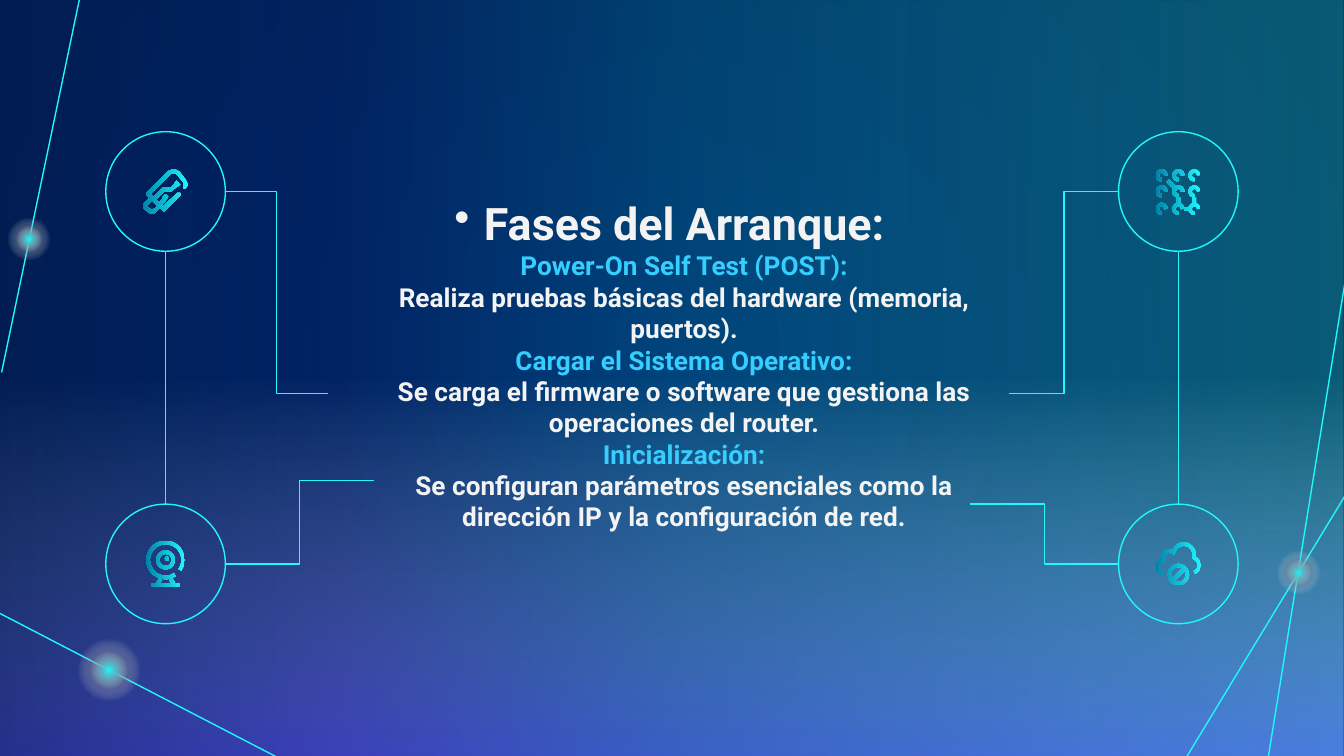
from copy import deepcopy
from dataclasses import dataclass
from itertools import product
from math import atan2, cos, radians, sin

from pptx import Presentation
from pptx.dml.color import RGBColor
from pptx.enum.shapes import MSO_CONNECTOR, MSO_SHAPE
from pptx.enum.text import MSO_ANCHOR, MSO_AUTO_SIZE, PP_ALIGN
from pptx.oxml import parse_xml
from pptx.oxml.ns import nsdecls, qn
from pptx.util import Cm, Pt


@dataclass(frozen=True)
class Theme:
    font: str = "Roboto"
    light: str = "F3F3F3"
    accent: str = "35CEFE"
    cyan: str = "20F8FD"
    teal: str = "0182AA"
    blue: str = "022E88"
    navy: str = "012060"
    night: str = "00183A"
    sky: str = "748BFF"
    violet: str = "7659FF"
    heading: int = 24
    body: int = 14
    line: float = 0.75


T = Theme()
WIDTH, HEIGHT = 25.4, 14.29
DIAMETER = 2.26
LEFT, TOP, BOTTOM = 2, 2.49, 9.53
RIGHT = WIDTH - LEFT - DIAMETER
ICON_UNIT = 0.0254

LINES = [
    "Fases del Arranque:",
    "Power-On Self Test (POST):",
    "Realiza pruebas básicas del hardware (memoria, puertos).",
    "Cargar el Sistema Operativo:",
    "Se carga el firmware o software que gestiona las operaciones del router.",
    "Inicialización:",
    "Se configuran parámetros esenciales como la dirección IP y la configuración de red.",
]


def set_gradient(fill, owner, stops, angle=None):
    """Stops are (position %, colour, opacity %); no angle means radial."""
    fill.gradient()
    old = owner.find(".//" + qn("a:gradFill"))
    gs = "".join(
        f'<a:gs pos="{pos * 1000}"><a:srgbClr val="{color}">'
        f'<a:alpha val="{alpha * 1000}"/></a:srgbClr></a:gs>'
        for pos, color, alpha in stops)
    if angle is None:
        shade = ('<a:path path="circle"><a:fillToRect l="50000" t="50000" '
                 'r="50000" b="50000"/></a:path>')
    else:
        shade = f'<a:lin ang="{angle * 60000}" scaled="0"/>'
    new = parse_xml(f'<a:gradFill {nsdecls("a")} rotWithShape="1">'
                    f'<a:gsLst>{gs}</a:gsLst>{shade}</a:gradFill>')
    old.getparent().replace(old, new)


def add_gradient_shape(slide, kind, x, y, w, h, stops, angle=None):
    sp = slide.shapes.add_shape(kind, Cm(x), Cm(y), Cm(w), Cm(h))
    sp.shadow.inherit = False
    sp.line.fill.background()
    set_gradient(sp.fill, sp._element, stops, angle)


def style_line(line):
    line.color.rgb = RGBColor.from_string(T.cyan)
    line.width = Pt(T.line)


def add_line(slide, start, end, kind=MSO_CONNECTOR.STRAIGHT):
    cxn = slide.shapes.add_connector(kind, *map(Cm, start + end))
    style_line(cxn.line)
    cxn._element.spPr.append(parse_xml(f'<a:effectLst {nsdecls("a")}/>'))


def add_glow(slide, cx, cy, radius):
    for color, r in ((T.night, radius), (T.cyan, radius * 0.59)):
        add_gradient_shape(slide, MSO_SHAPE.OVAL, cx - r, cy - r, 2 * r, 2 * r,
                           [(0, color, 100), (50, T.light, 0), (100, T.light, 0)])


def add_circle(slide, x, y):
    sp = slide.shapes.add_shape(MSO_SHAPE.OVAL, Cm(x), Cm(y), Cm(DIAMETER), Cm(DIAMETER))
    sp.shadow.inherit = False
    sp.fill.background()
    style_line(sp.line)


def arc(cx, cy, r, start=0, end=360, steps=20):
    angles = [radians(start + (end - start) * i / steps) for i in range(steps + 1)]
    return [(cx + r * cos(a), cy + r * sin(a)) for a in angles]


def band(points, width=2.6):
    """Outline of a thick stroke that follows the points."""
    one_side, other_side = [], []
    for i, (x, y) in enumerate(points):
        (x0, y0), (x1, y1) = points[max(i - 1, 0)], points[min(i + 1, len(points) - 1)]
        a = atan2(y1 - y0, x1 - x0)
        dx, dy = -sin(a) * width / 2, cos(a) * width / 2
        one_side.append((x + dx, y + dy))
        other_side.append((x - dx, y - dy))
    return one_side + other_side[::-1]


def usb_icon():
    body = [(32, 8), (27, 2), (23, 0), (19, 2), (3, 18), (3, 20), (5, 22), (0, 27),
            (0, 29), (6, 34), (8, 34), (13, 29), (15, 31), (16, 32), (28, 20), (28, 18),
            (26, 18), (15, 28), (14, 27), (17, 24), (19, 21), (17, 19), (15, 21),
            (15, 22), (12, 25), (10, 23), (16, 17), (21, 17), (25, 14), (28, 12),
            (25, 9), (23, 12), (21, 14), (15, 14), (8, 21), (6, 19), (21, 4), (25, 4),
            (30, 10), (30, 13), (30, 15), (32, 15), (34, 12)]
    return 34, 34, [body, [(7, 31), (3, 28), (7, 24), (11, 28)]]


def network_icon():
    nodes = [band(arc(x, y, 3.2, 90, 360)) for x, y in product((4.5, 17, 29), (5, 17, 30))]
    links = [[(9, 9), (14, 14)], [(17, 21.5), (17, 25.5)],
             [(29, 21.5), (29, 25.5)], [(21.5, 30), (24.5, 30)]]
    return 34, 34, nodes + [band(link) for link in links]


def webcam_icon():
    stem = [(10.8, 28.4), (8.5, 31.3)]
    stems = [stem, [(29 - x, y) for x, y in stem]]
    return 29, 34, [band(arc(14.5, 14, 13, 58, 395, 40)), arc(14.5, 14, 7),
                    arc(14.5, 14, 4.5), arc(15.5, 13, 1.5),
                    band([(4, 32.6), (25, 32.6)])] + [band(s) for s in stems]


def cloud_icon():
    outline = (arc(6, 18, 4.7, 100, 270) + [(6, 11)] + arc(10, 10.5, 4, 190, 310)
               + arc(21, 9, 7.7, 190, 360) + [(28.7, 11.5)]
               + arc(27, 17, 5.6, 300, 430))
    return 34, 32, [band(outline), arc(17, 24, 8), arc(17, 24, 5.5),
                    band([(13.3, 27.7), (20.7, 20.3)])]


def add_icon(slide, x, y, icon):
    """Centre the icon in the circle whose top left corner is x, y."""
    width, height, outlines = icon
    left = x + (DIAMETER - width * ICON_UNIT) / 2
    top = y + (DIAMETER - height * ICON_UNIT) / 2
    contours = [[(Cm(left + px * ICON_UNIT), Cm(top + py * ICON_UNIT)) for px, py in o]
                for o in outlines]
    builder = slide.shapes.build_freeform(*contours[0][0])
    for i, contour in enumerate(contours):
        if i:
            builder.move_to(*contour[0])
        builder.add_line_segments(contour[1:], close=True)
    sp = builder.convert_to_shape()
    sp.shadow.inherit = False
    sp.line.fill.background()
    set_gradient(sp.fill, sp._element, [(0, T.cyan, 100), (100, T.teal, 100)], 180)


def add_backdrop(slide):
    set_gradient(slide.background.fill, slide._element,
                 [(0, T.navy, 100), (100, T.night, 100)])
    washes = [
        ([(0, T.sky, 0), (50, T.light, 0), (100, T.violet, 77)], 90),
        ([(0, T.cyan, 29), (50, T.teal, 36), (75, T.blue, 35), (100, T.navy, 60)], 180),
    ]
    for stops, angle in washes:
        add_gradient_shape(slide, MSO_SHAPE.RECTANGLE, 0, 0, WIDTH, HEIGHT, stops, angle)
    for start, end in (((5.31, 14.35), (-0.03, 11.58)), ((22.43, 14.3), (25.48, 9.27)),
                       ((23.95, 14.43), (25.55, 4.52)), ((1.55, -0.25), (0.03, 7.04))):
        add_line(slide, start, end)
    for glow in ((24.54, 10.82, 0.58), (2.06, 12.67, 0.84), (0.55, 4.52, 0.58)):
        add_glow(slide, *glow)


def set_title(slide):
    sp = slide.shapes.title
    slide.shapes._spTree.append(sp._element)  # in front of the backdrop
    sp.left, sp.top, sp.width, sp.height = Cm(6.2), Cm(4.57), Cm(12.9), Cm(5.74)
    tf = sp.text_frame
    tf.word_wrap, tf.auto_size = True, MSO_AUTO_SIZE.NONE
    tf.vertical_anchor = MSO_ANCHOR.BOTTOM
    tf.margin_left = tf.margin_right = tf.margin_top = tf.margin_bottom = Cm(0.25)
    p = tf.paragraphs[0]
    p.text = "\v".join(LINES)
    p.alignment = PP_ALIGN.CENTER
    for i, r in enumerate(p.runs):
        r.font.name, r.font.bold = T.font, True
        r.font.size = Pt(T.body if i else T.heading)
        r.font.color.rgb = RGBColor.from_string(T.accent if i % 2 else T.light)
    for br, r in zip(p._p.findall(qn("a:br")), p.runs):
        br.append(deepcopy(r._r.rPr))
    pPr = p._p.get_or_add_pPr()
    pPr.set("marL", str(Cm(0.56)))
    pPr.set("indent", str(-Cm(0.56)))
    pPr.append(parse_xml(f'<a:buClr {nsdecls("a")}><a:srgbClr val="{T.light}"/></a:buClr>'))
    pPr.append(parse_xml(f'<a:buChar {nsdecls("a")} char="•"/>'))


def main():
    prs = Presentation()
    prs.slide_width, prs.slide_height = Cm(WIDTH), Cm(HEIGHT)
    slide = prs.slides.add_slide(prs.slide_layouts[5])
    add_backdrop(slide)
    set_title(slide)
    nodes = [(LEFT, TOP, usb_icon(), (6.2, 7.44)), (RIGHT, TOP, network_icon(), (19.08, 7.44)),
             (LEFT, BOTTOM, webcam_icon(), (7.06, 9.09)),
             (RIGHT, BOTTOM, cloud_icon(), (18.34, 9.53))]
    for x, y, icon, end in nodes:
        add_circle(slide, x, y)
        add_icon(slide, x, y, icon)
        inner_edge = x + DIAMETER if x == LEFT else x
        add_line(slide, (inner_edge, y + DIAMETER / 2), end, MSO_CONNECTOR.ELBOW)
    for x in (LEFT, RIGHT):
        middle = x + DIAMETER / 2
        add_line(slide, (middle, TOP + DIAMETER), (middle, BOTTOM))
    prs.save("out.pptx")


if __name__ == "__main__":
    main()
